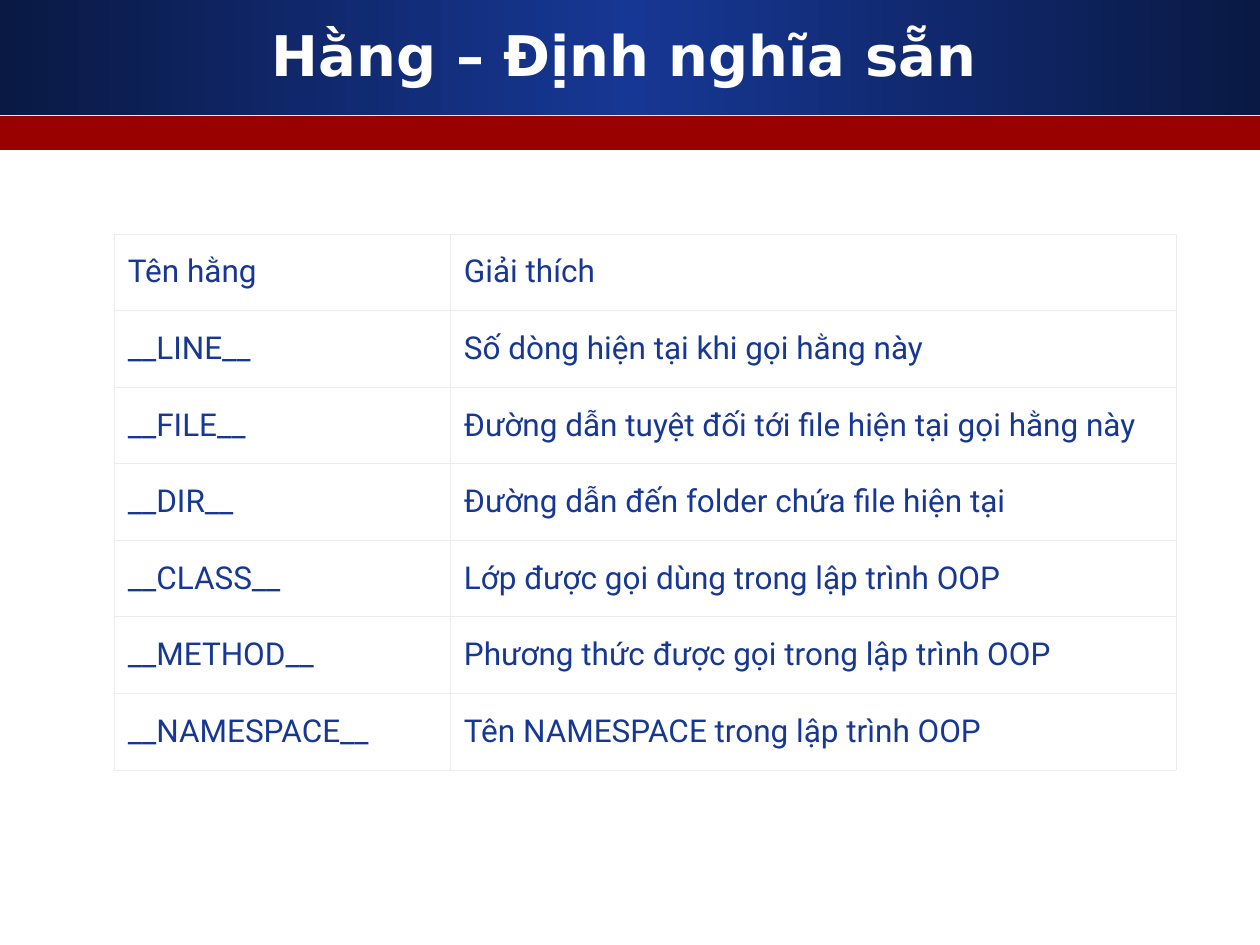
from copy import deepcopy

from pptx import Presentation
from pptx.dml.color import RGBColor
from pptx.enum.shapes import MSO_SHAPE
from pptx.enum.text import MSO_ANCHOR, PP_ALIGN
from pptx.oxml import parse_xml
from pptx.oxml.ns import nsdecls, qn
from pptx.util import Emu, Pt

SCALE = 914400 / 126
NAVY = RGBColor(0x0A, 0x19, 0x44)
BLUE = RGBColor(0x16, 0x37, 0x94)
RED = RGBColor(0x99, 0x00, 0x00)
WHITE = RGBColor(0xFF, 0xFF, 0xFF)
GREY = RGBColor(0xEC, 0xEC, 0xEC)
TITLE_FONT = "DejaVu Sans"
TABLE_FONT = "Roboto"
BORDER_WIDTH = Pt(0.34)

CONSTANTS = [
    ("Tên hằng", "Giải thích"),
    ("__LINE__", "Số dòng hiện tại khi gọi hằng này"),
    ("__FILE__", "Đường dẫn tuyệt đối tới file hiện tại gọi hằng này"),
    ("__DIR__", "Đường dẫn đến folder chứa file hiện tại"),
    ("__CLASS__", "Lớp được gọi dùng trong lập trình OOP"),
    ("__METHOD__", "Phương thức được gọi trong lập trình OOP"),
    ("__NAMESPACE__", "Tên NAMESPACE trong lập trình OOP"),
]


def px(length):
    """Turn pixels into EMU."""
    return Emu(round(length * SCALE))


def add_span(para, text, font, size, color, bold=False):
    """Add one formatted run to a paragraph."""
    span = para.add_run()
    span.text = text
    span.font.name = font
    span.font.size = Pt(size)
    span.font.bold = bold
    span.font.color.rgb = color


def add_bar(page, top, height):
    """Add a full-width bar without line or shadow and return it."""
    bar = page.shapes.add_shape(MSO_SHAPE.RECTANGLE, 0, px(top), px(1260), px(height))
    bar.shadow.inherit = False
    bar.line.fill.background()
    return bar


def fill_gradient(shape, colors):
    """Fill a shape from left to right with three evenly spaced colours."""
    shape.fill.gradient()
    shape.fill.gradient_angle = 0
    stop_list = shape.element.spPr.find(".//" + qn("a:gsLst"))
    stop_list.insert(1, deepcopy(stop_list[0]))
    for index, (stop, color) in enumerate(zip(shape.fill.gradient_stops, colors)):
        stop.position = index / (len(colors) - 1)
        stop.color.rgb = color


def format_title(page, text):
    """Place the title placeholder in front of the bars and write its text."""
    title = page.shapes.title
    title.element.getparent().append(title.element)
    title.left, title.top, title.width, title.height = px(42), px(21), px(1165), px(78)
    frame = title.text_frame
    frame.word_wrap = True
    frame.vertical_anchor = MSO_ANCHOR.MIDDLE
    para = frame.paragraphs[0]
    para.alignment = PP_ALIGN.CENTER
    para.line_spacing = 0.8
    add_span(para, text, TITLE_FONT, 32, WHITE, bold=True)


def add_borders(cell):
    """Draw a thin grey line on each side of a cell."""
    properties = cell._tc.get_or_add_tcPr()
    for side in ("lnL", "lnR", "lnT", "lnB"):
        properties.append(parse_xml(
            f'<a:{side} {nsdecls("a")} w="{BORDER_WIDTH}">'
            f'<a:solidFill><a:srgbClr val="{GREY}"/></a:solidFill></a:{side}>'
        ))


def format_cell(cell, text):
    """Write a cell's text and set its margins, borders and fill."""
    cell.margin_left = cell.margin_right = px(14)
    cell.margin_top = cell.margin_bottom = px(6)
    cell.vertical_anchor = MSO_ANCHOR.MIDDLE
    add_borders(cell)
    cell.fill.solid()
    cell.fill.fore_color.rgb = WHITE
    add_span(cell.text_frame.paragraphs[0], text, TABLE_FONT, 18, BLUE)


def add_constant_table(page, rows):
    """Add the table of constants and their explanations."""
    widths = (336, 726)
    table = page.shapes.add_table(
        len(rows), len(widths), px(114), px(234), px(sum(widths)), px(536)
    ).table
    table.first_row = False
    table.horz_banding = False
    for column, width in zip(table.columns, widths):
        column.width = px(width)
    for row, texts in zip(table.rows, rows):
        for cell, text in zip(row.cells, texts):
            format_cell(cell, text)


def main():
    """Build the slide and save it."""
    deck = Presentation()
    deck.slide_width, deck.slide_height = px(1260), px(945)
    page = deck.slides.add_slide(deck.slide_layouts[5])
    fill_gradient(add_bar(page, 0, 115), (NAVY, BLUE, NAVY))
    stripe = add_bar(page, 116, 34)
    stripe.fill.solid()
    stripe.fill.fore_color.rgb = RED
    format_title(page, "Hằng – Định nghĩa sẵn")
    add_constant_table(page, CONSTANTS)
    deck.save("out.pptx")


if __name__ == "__main__":
    main()
